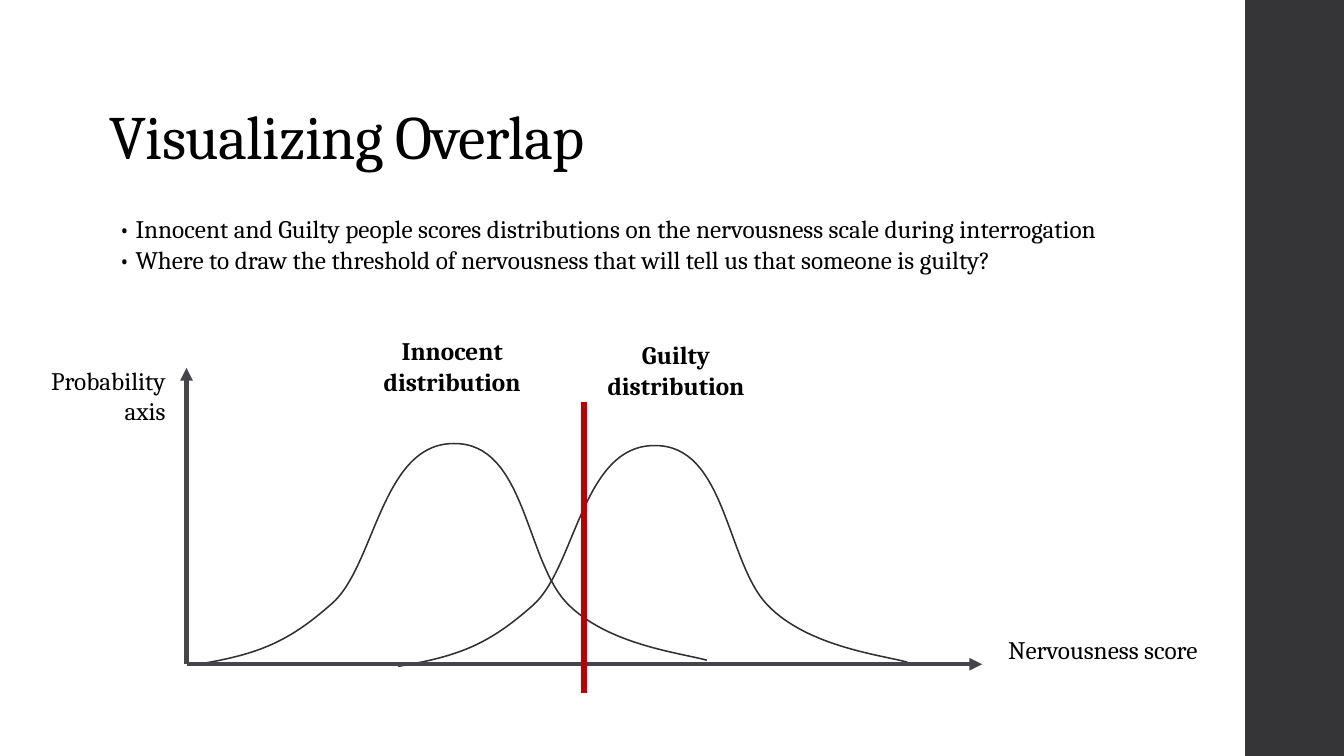
from dataclasses import dataclass

from lxml import etree
from pptx import Presentation
from pptx.dml.color import RGBColor
from pptx.enum.shapes import MSO_CONNECTOR, MSO_SHAPE
from pptx.enum.text import MSO_ANCHOR, PP_ALIGN
from pptx.oxml.ns import qn
from pptx.util import Inches, Pt


@dataclass(frozen=True)
class Theme:
    font: str = "Cambria"
    text: RGBColor = RGBColor.from_string("000000")
    band: RGBColor = RGBColor.from_string("353537")
    curve: RGBColor = RGBColor.from_string("313133")
    axis: RGBColor = RGBColor.from_string("46464A")
    threshold: RGBColor = RGBColor.from_string("C00000")
    title_size: float = 44
    body_size: float = 18


theme = Theme()
prs = Presentation()
prs.slide_width, prs.slide_height = Inches(13.33), Inches(7.5)
s = prs.slides.add_slide(prs.slide_layouts[6])


def add_text(text, box, size=theme.body_size, bold=False, align=PP_ALIGN.LEFT,
             anchor=MSO_ANCHOR.TOP, line_spacing=None, tracking=0):
    """Add a text box with one paragraph per line; tracking is in points."""
    tf = s.shapes.add_textbox(*(Inches(v) for v in box)).text_frame
    tf.word_wrap = True
    tf.vertical_anchor = anchor
    for i, line in enumerate(text.split("\n")):
        p = tf.paragraphs[0] if i == 0 else tf.add_paragraph()
        p.alignment = align
        p.line_spacing = line_spacing
        r = p.add_run()
        r.text = line
        r.font.name, r.font.size, r.font.bold = theme.font, Pt(size), bold
        r.font.color.rgb = theme.text
        if tracking:
            r.font._element.set("spc", str(int(tracking * 100)))


def add_line(start, end, color, width, arrow=False):
    line = s.shapes.add_connector(MSO_CONNECTOR.STRAIGHT, *(Inches(v) for v in start + end))
    line.line.color.rgb, line.line.width = color, Pt(width)
    if arrow:
        etree.SubElement(line.line._get_or_add_ln(), qn("a:tailEnd")).set("type", "triangle")
    etree.SubElement(line._element.spPr, qn("a:effectLst"))


# Side band, title and bullets
band_left = Inches(12.35)
band = s.shapes.add_shape(MSO_SHAPE.RECTANGLE, band_left, 0,
                          prs.slide_width - band_left, prs.slide_height)
band.shadow.inherit = False
band.fill.solid()
band.fill.fore_color.rgb = theme.band
band.line.fill.background()

add_text("Visualizing Overlap", (0.99, 0.31, 10.6, 1.45), size=theme.title_size,
         anchor=MSO_ANCHOR.BOTTOM, line_spacing=0.9, tracking=-0.5)
add_text("• Innocent and Guilty people scores distributions on the nervousness scale during interrogation\n"
         "• Where to draw the threshold of nervousness that will tell us that someone is guilty?",
         (1.08, 2.07, 11.29, 0.71))

# Two equal bell curves: each segment has two control points and an end point
bell_start = (1.96, 6.59)
bell_segments = [
    ((2.58, 6.49), (2.87, 6.36), (3.29, 5.99)),
    ((3.72, 5.62), (3.78, 4.4), (4.5, 4.4)),
    ((5.21, 4.39), (5.21, 5.55), (5.62, 5.98)),
    ((6.02, 6.4), (6.77, 6.48), (7.01, 6.55)),
]
for dx, dy in ((0, 0), (1.99, 0.02)):
    start, *ends = [(Inches(x + dx), Inches(y + dy))
                    for x, y in [bell_start] + [segment[-1] for segment in bell_segments]]
    builder = s.shapes.build_freeform(*start)
    builder.add_line_segments(ends, close=False)
    curve = builder.convert_to_shape()
    curve.shadow.inherit = False
    curve.fill.background()
    curve.line.color.rgb, curve.line.width = theme.curve, Pt(1.1)
    # Bend each straight segment into a cubic Bezier
    straights = list(curve._element.iter(qn("a:lnTo")))
    for straight, segment in zip(straights, bell_segments):
        bezier = etree.Element(qn("a:cubicBezTo"))
        for x, y in segment:
            pt = etree.SubElement(bezier, qn("a:pt"))
            pt.set("x", str(Inches(x + dx) - curve.left))
            pt.set("y", str(Inches(y + dy) - curve.top))
        straight.getparent().replace(straight, bezier)

# Axes, labels and threshold
axis_origin = (1.85, 6.59)
for axis_end in ((9.74, 6.59), (1.85, 3.65)):
    add_line(axis_origin, axis_end, theme.axis, 3, arrow=True)

add_text("Innocent distribution", (3.57, 3.28, 1.83, 0.71), bold=True, align=PP_ALIGN.CENTER)
add_text("Guilty distribution", (5.79, 3.32, 1.83, 0.71), bold=True, align=PP_ALIGN.CENTER)
add_text("Nervousness score", (9.9, 6.24, 2.41, 0.4))
add_text("Probability axis", (0.24, 3.57, 1.5, 0.71), align=PP_ALIGN.RIGHT)
add_line((5.79, 3.99), (5.79, 6.88), theme.threshold, 4.5)

prs.save("out.pptx")
